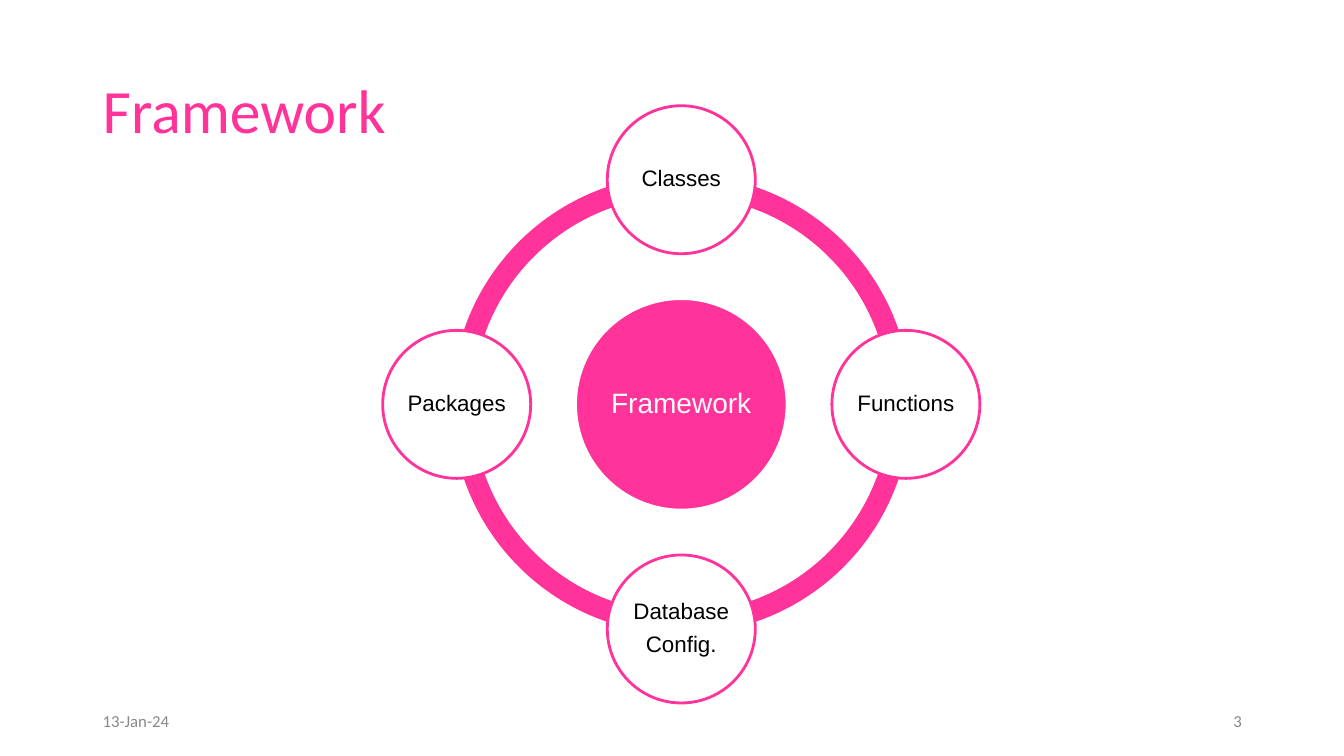
from dataclasses import dataclass
from math import cos, radians, sin

from pptx import Presentation
from pptx.dml.color import RGBColor
from pptx.enum.shapes import MSO_AUTO_SHAPE_TYPE as ShapeType
from pptx.enum.text import MSO_VERTICAL_ANCHOR as Anchor, PP_PARAGRAPH_ALIGNMENT as Align
from pptx.shapes.autoshape import Shape
from pptx.shapes.shapetree import GroupShapes, SlideShapes
from pptx.util import Cm, Pt

PINK = RGBColor(0xFF, 0x33, 0x99)
WHITE = RGBColor(0xFF, 0xFF, 0xFF)
BLACK = RGBColor(0x00, 0x00, 0x00)
GREY = RGBColor(0x88, 0x88, 0x88)

CENTRE_X, CENTRE_Y = 17.17, 10.19
RING_SIZE = 11.58
ORBIT_RADIUS = 5.66
NODE_SIZE = 3.73
HUB_SIZE = 5.33
QUARTER_TURN = 54
FULL_TURN = 216


@dataclass(frozen=True)
class TextStyle:
    font: str
    size: int
    color: RGBColor
    align: Align = Align.LEFT
    line_spacing: float = 1.0
    space_after: float = 0


@dataclass(frozen=True)
class Label:
    text: str
    left: float
    top: float
    width: float
    height: float
    style: TextStyle


@dataclass(frozen=True)
class Node:
    text: str
    angle: int


LABELS = [
    Label("Framework", 2.34, 1.02, 29.21, 3.68, TextStyle("Calibri", 44, PINK, line_spacing=0.9)),
    Label("13-Jan-24", 2.34, 17.65, 7.62, 1.02, TextStyle("Calibri", 12, GREY)),
    Label("3", 23.93, 17.65, 7.62, 1.02, TextStyle("Calibri", 12, GREY, Align.RIGHT)),
]
NODES = [
    Node("Classes", -90),
    Node("Functions", 0),
    Node("Database\nConfig.", 90),
    Node("Packages", 180),
]
HUB_STYLE = TextStyle("Arial", 20, WHITE, Align.CENTER, 0.9, 8)
NODE_STYLE = TextStyle("Arial", 16, BLACK, Align.CENTER, 0.9, 6.4)


def apply(target: object, values: dict[str, object]) -> None:
    for name, value in values.items():
        setattr(target, name, value)


def write(box: Shape, text: str, style: TextStyle, side: float, edge: float) -> None:
    frame = box.text_frame
    apply(frame, {
        "text": text, "word_wrap": True, "vertical_anchor": Anchor.MIDDLE,
        "margin_left": Cm(side), "margin_right": Cm(side),
        "margin_top": Cm(edge), "margin_bottom": Cm(edge),
    })
    for para in frame.paragraphs:
        apply(para, {
            "alignment": style.align, "line_spacing": style.line_spacing,
            "space_after": Pt(style.space_after),
        })
        for span in para.runs:
            apply(span.font, {"name": style.font, "size": Pt(style.size)})
            span.font.color.rgb = style.color


def draw_label(shapes: SlideShapes, label: Label) -> None:
    box = shapes.add_textbox(Cm(label.left), Cm(label.top), Cm(label.width), Cm(label.height))
    write(box, label.text, label.style, 0.25, 0.13)


def add_round(shapes: GroupShapes, kind: ShapeType, x: float, y: float,
              size: float, fill: RGBColor) -> Shape:
    shape = shapes.add_shape(kind, Cm(x - size / 2), Cm(y - size / 2), Cm(size), Cm(size))
    shape.shadow.inherit = False
    shape.fill.solid()
    shape.fill.fore_color.rgb = fill
    return shape


def draw_arc(shapes: GroupShapes, start: int) -> None:
    arc = add_round(shapes, ShapeType.BLOCK_ARC, CENTRE_X, CENTRE_Y, RING_SIZE, PINK)
    arc.line.fill.background()
    for index, value in enumerate((start, (start + QUARTER_TURN) % FULL_TURN, 0.046)):
        arc.adjustments[index] = value


def draw_circle(shapes: GroupShapes, text: str, x: float, y: float, size: float,
                fill: RGBColor, line: RGBColor, style: TextStyle) -> None:
    circle = add_round(shapes, ShapeType.OVAL, x, y, size, fill)
    circle.line.color.rgb = line
    circle.line.width = Pt(2)
    write(circle, text, style, 0.05, 0.05)


def main() -> None:
    deck = Presentation()
    apply(deck, {"slide_width": Cm(33.87), "slide_height": Cm(19.05)})
    page = deck.slides.add_slide(deck.slide_layouts[6])
    for label in LABELS:
        draw_label(page.shapes, label)

    diagram = page.shapes.add_group_shape().shapes
    for start in range(0, FULL_TURN, QUARTER_TURN):
        draw_arc(diagram, start)
    draw_circle(diagram, "Framework", CENTRE_X, CENTRE_Y, HUB_SIZE, PINK, WHITE, HUB_STYLE)
    for node in NODES:
        x = CENTRE_X + ORBIT_RADIUS * cos(radians(node.angle))
        y = CENTRE_Y + ORBIT_RADIUS * sin(radians(node.angle))
        draw_circle(diagram, node.text, x, y, NODE_SIZE, WHITE, PINK, NODE_STYLE)

    deck.save("out.pptx")


if __name__ == "__main__":
    main()
